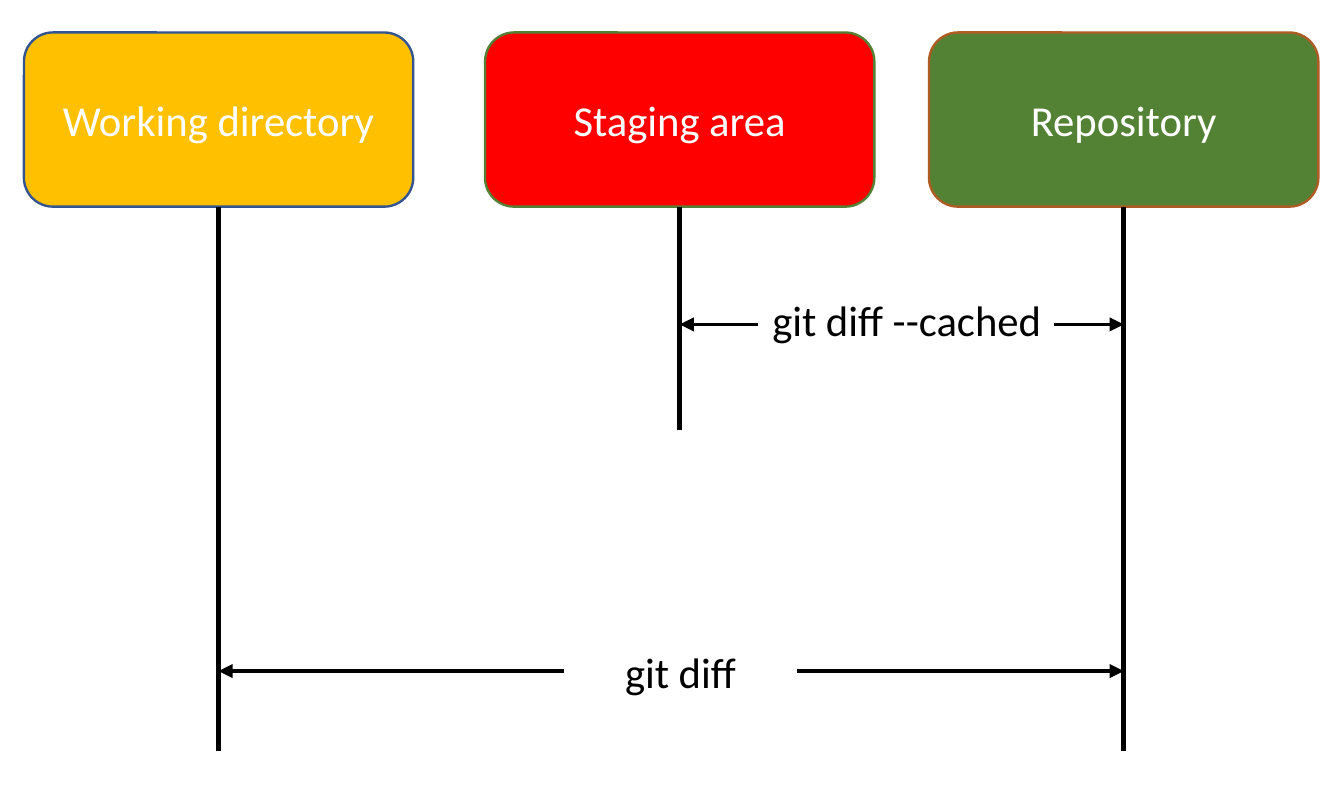
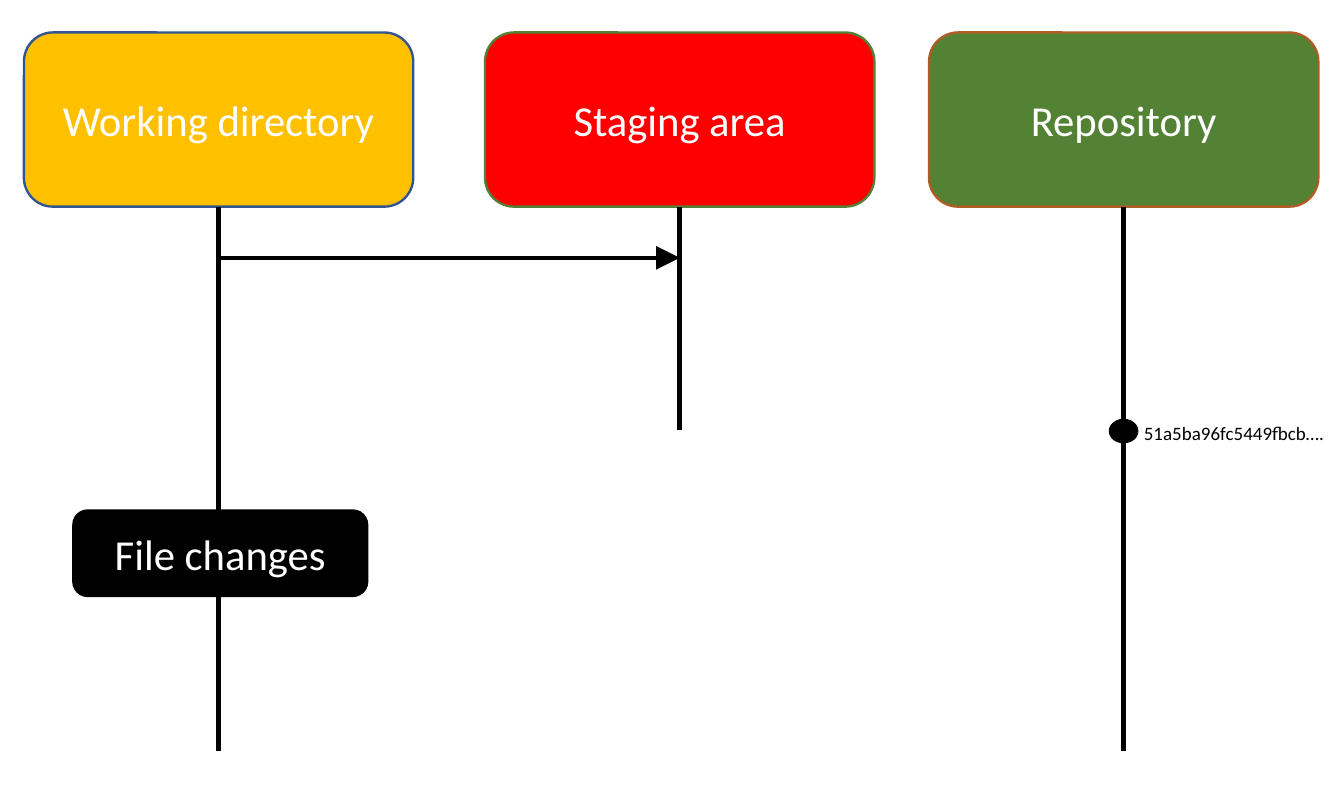
from lxml import etree
from pptx import Presentation
from pptx.dml.color import RGBColor
from pptx.enum import shapes, text
from pptx.oxml.ns import qn
from pptx.util import Inches, Pt

BLACK = RGBColor(0x00, 0x00, 0x00)
WHITE = RGBColor(0xFF, 0xFF, 0xFF)
AMBER = RGBColor(0xFF, 0xC0, 0x00)
RED = RGBColor(0xFF, 0x00, 0x00)
GREEN = RGBColor(0x54, 0x82, 0x35)
BLUE_EDGE = RGBColor(0x32, 0x54, 0x91)
GREEN_EDGE = RGBColor(0x53, 0x80, 0x35)
ORANGE_EDGE = RGBColor(0xAF, 0x5C, 0x24)

ROUNDED = shapes.MSO_SHAPE.ROUNDED_RECTANGLE
OVAL = shapes.MSO_SHAPE.OVAL
LEFT, RIGHT, BOTTOM = 1, 3, 2  # connection sites

AREA_TOP, AREA_W, AREA_H = 0.19, 2.28, 1.02
# label, left, fill, edge, lifeline end
AREAS = [
    ("Working directory", 0.14, AMBER, BLUE_EDGE, 4.4),
    ("Staging area", 2.84, RED, GREEN_EDGE, 2.52),
    ("Repository", 5.44, GREEN, ORANGE_EDGE, 4.4),
]
WORKING_X, STAGING_X, REPO_X = (area[1] + AREA_W / 2 for area in AREAS)


class Deck:
    font = "Calibri"
    size = 18

    def __init__(self, width, height):
        self.prs = Presentation()
        self.prs.slide_width = Inches(width)
        self.prs.slide_height = Inches(height)
        self.slide = None

    def add_slide(self):
        """Start a slide with the three areas and their lifelines."""
        self.slide = self.prs.slides.add_slide(self.prs.slide_layouts[6])
        for label, left, fill, edge, end in AREAS:
            box = self.shape(ROUNDED, left, AREA_TOP, AREA_W, AREA_H, fill, edge, label)
            x = left + AREA_W / 2
            lifeline = self.line(x, AREA_TOP + AREA_H, x, end, 2.25)
            lifeline.begin_connect(box, BOTTOM)

    def set_text(self, sp, words, color, size=size, align=text.PP_ALIGN.CENTER):
        tf = sp.text_frame
        tf.vertical_anchor = text.MSO_ANCHOR.MIDDLE
        p = tf.paragraphs[0]
        p.text = words
        p.alignment = align
        p.font.name = self.font
        p.font.size = Pt(size)
        p.font.color.rgb = color

    def shape(self, kind, left, top, width, height, fill, edge, words=None):
        sp = self.slide.shapes.add_shape(
            kind, Inches(left), Inches(top), Inches(width), Inches(height))
        sp.shadow.inherit = False
        sp.fill.solid()
        sp.fill.fore_color.rgb = fill
        sp.line.color.rgb = edge
        sp.line.width = Pt(1)
        if words:
            self.set_text(sp, words, WHITE)
        return sp

    def label(self, words, left, top, width, height):
        sp = self.slide.shapes.add_textbox(
            Inches(left), Inches(top), Inches(width), Inches(height))
        sp.text_frame.word_wrap = True
        self.set_text(sp, words, BLACK)
        return sp

    def note(self, words, left, top, width, height):
        """Small left-aligned text on one line."""
        sp = self.label(words, left, top, width, height)
        self.set_text(sp, words, BLACK, 8, text.PP_ALIGN.LEFT)
        sp.text_frame.word_wrap = False
        sp.text_frame.auto_size = text.MSO_AUTO_SIZE.SHAPE_TO_FIT_TEXT
        sp.text_frame.vertical_anchor = text.MSO_ANCHOR.TOP

    def line(self, x1, y1, x2, y2, width):
        cxn = self.slide.shapes.add_connector(
            shapes.MSO_CONNECTOR.STRAIGHT,
            Inches(x1), Inches(y1), Inches(x2), Inches(y2))
        cxn.line.color.rgb = BLACK
        cxn.line.width = Pt(width)
        etree.SubElement(cxn.element.spPr, qn("a:effectLst"))
        return cxn

    def arrow(self, x1, x2, y, head="med"):
        """Horizontal arrow pointing at x2."""
        cxn = self.line(x1, y, x2, y, 1.5)
        ln = cxn.element.spPr.find(qn("a:ln"))
        etree.SubElement(ln, qn("a:tailEnd"), type="triangle", w=head, len=head)
        return cxn


def diff_slide(deck):
    deck.add_slide()
    diff = deck.label("git diff", 3.3, 3.73, 1.37, 0.4)
    deck.arrow(4.67, REPO_X, 3.93).begin_connect(diff, RIGHT)
    deck.arrow(3.3, WORKING_X, 3.93).begin_connect(diff, LEFT)
    deck.label("git diff --cached", 4.27, 1.67, 2.08, 0.4)
    deck.arrow(6.17, REPO_X, 1.9)
    deck.arrow(4.44, STAGING_X, 1.9)


def staging_slide(deck):
    deck.add_slide()
    deck.arrow(WORKING_X, STAGING_X, 1.51, "lg")
    deck.shape(ROUNDED, 0.43, 2.99, 1.72, 0.5, BLACK, BLACK, "File changes")
    deck.shape(OVAL, REPO_X - 0.08, 2.46, 0.16, 0.13, BLACK, BLACK)
    deck.note("51a5ba96fc5449fbcb….", 6.6, 2.42, 1.26, 0.24)


def main():
    deck = Deck(7.87, 4.72)
    diff_slide(deck)
    staging_slide(deck)
    deck.prs.save("out.pptx")


if __name__ == "__main__":
    main()
